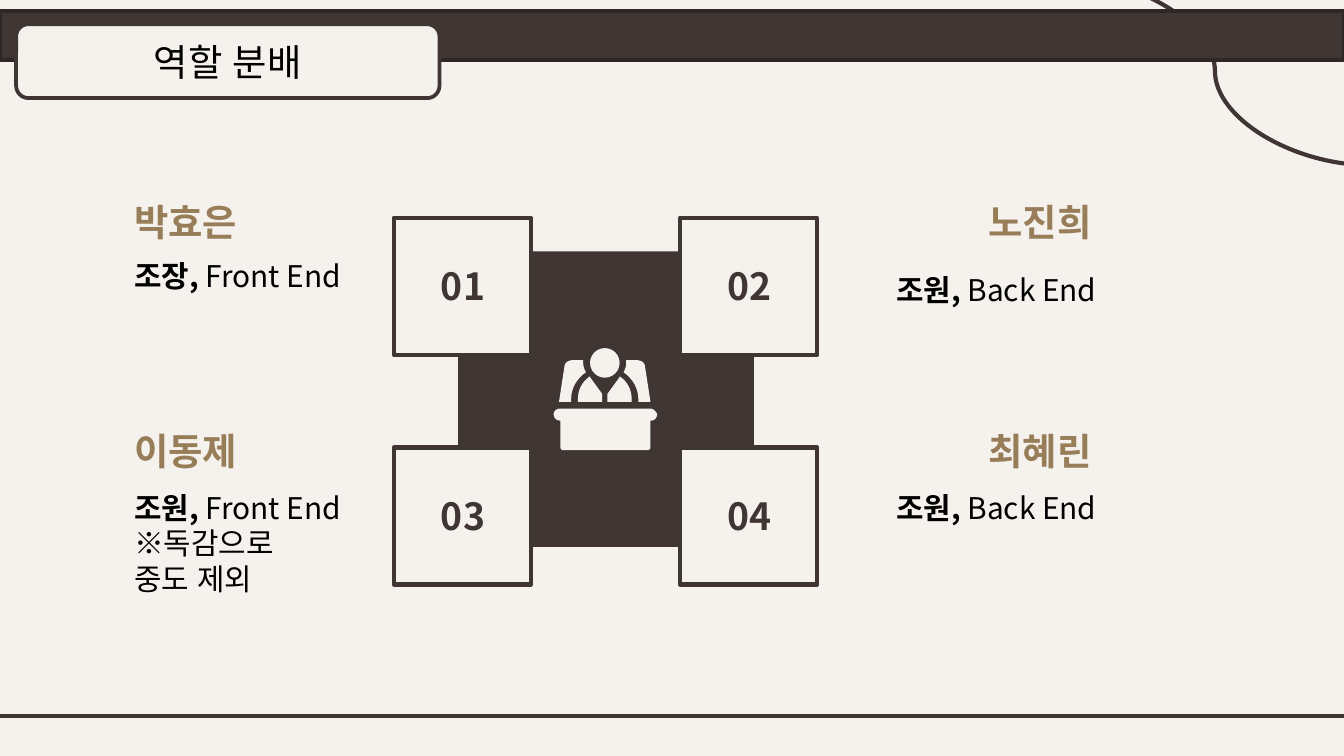
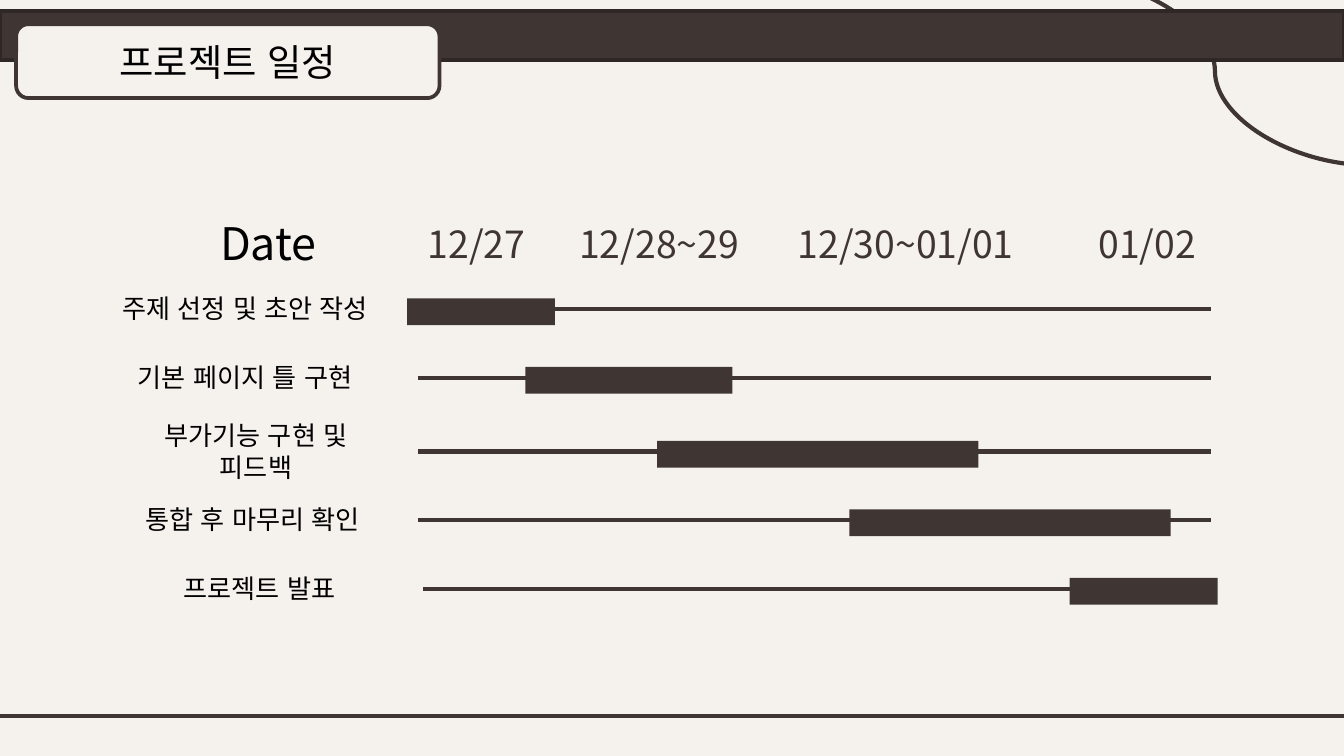
from lxml import etree
from pptx import Presentation
from pptx.dml.color import RGBColor
from pptx.enum.lang import MSO_LANGUAGE_ID
from pptx.enum.shapes import MSO_CONNECTOR, MSO_SHAPE
from pptx.enum.text import MSO_ANCHOR, MSO_AUTO_SIZE, PP_ALIGN
from pptx.oxml.ns import qn
from pptx.util import Inches, Pt

RECTANGLE, ROUNDED, OVAL = MSO_SHAPE.RECTANGLE, MSO_SHAPE.ROUNDED_RECTANGLE, MSO_SHAPE.OVAL
STRAIGHT, CURVE = MSO_CONNECTOR.STRAIGHT, MSO_CONNECTOR.CURVE
LEFT, CENTER, RIGHT = PP_ALIGN.LEFT, PP_ALIGN.CENTER, PP_ALIGN.RIGHT
TOP, MIDDLE = MSO_ANCHOR.TOP, MSO_ANCHOR.MIDDLE
NO_AUTOFIT = MSO_AUTO_SIZE.NONE
KOREAN = MSO_LANGUAGE_ID.KOREAN

FONT = "Noto Sans CJK KR"
CREAM, BROWN, BAND_EDGE, GOLD, BLACK = "F5F2EE", "3F3533", "2F2726", "987D59", "000000"
SLIDE_WIDTH = Inches(10)
SLIDE_HEIGHT = SLIDE_WIDTH * 9 // 16
TITLE_PLACE = (0.12, 0.18, 3.15, 0.55)

ROLES_TITLE = "역할 분배"
MEMBERS = [
    ("01", "박효은", "조장, ", "Front End", [], 1.82),
    ("02", "노진희", "조원, ", "Back End", [], 1.92),
    ("03", "이동제", "조원, ", "Front End", ["※독감으로", "중도 제외"], 3.54),
    ("04", "최혜린", "조원, ", "Back End", [], 3.54),
]
SIDES = [
    {"card": 2.93, "name": 0.9, "role": 0.9, "align": LEFT},
    {"card": 5.06, "name": 6.22, "role": 6.57, "align": RIGHT},
]
CARD_TOPS = [1.62, 3.33]
CARD_SIZE = 1.02

ICON_AXIS = 4.5
DESK = [
    (4.17, 3.04), (4.14, 3.04, 4.12, 3.06, 4.12, 3.08),
    (4.12, 3.11, 4.14, 3.13, 4.17, 3.13), (4.17, 3.33),
    (4.17, 3.34, 4.18, 3.35, 4.19, 3.35), (4.82, 3.35),
    (4.83, 3.35, 4.84, 3.34, 4.84, 3.33), (4.84, 3.13),
    (4.87, 3.13, 4.89, 3.11, 4.89, 3.08), (4.88, 3.06, 4.86, 3.04, 4.84, 3.04),
]
CHAIR_SIDE = [
    (4.66, 2.68), (4.66, 2.69, 4.66, 2.7, 4.66, 2.7),
    (4.66, 2.73, 4.65, 2.75, 4.64, 2.77), (4.71, 2.82, 4.75, 2.89, 4.75, 2.97),
    (4.75, 2.99), (4.84, 2.99), (4.8, 2.73), (4.8, 2.7, 4.77, 2.68, 4.74, 2.68),
]
JACKET_SIDE = [
    (4.61, 2.8), (4.61, 2.81, 4.6, 2.82, 4.6, 2.82), (4.52, 2.93),
    (4.52, 2.99), (4.7, 2.99), (4.7, 2.97), (4.7, 2.9, 4.67, 2.84, 4.61, 2.8),
]

SCHEDULE_TITLE = "프로젝트 일정"
DATES = [
    ("12/27", 3.05, 0.99),
    ("12/28~29", 4.04, 1.73),
    ("12/30~01/01", 5.77, 1.94),
    ("01/02", 8.04, 0.99),
]
TASKS = [
    ("주제 선정 및 초안 작성", 0.72, 2.21, 2.3, 3.11, 3.03, 1.1),
    ("기본 페이지 틀 구현", 0.72, 2.21, 2.81, 3.11, 3.91, 1.54),
    ("부가기능 구현 및 피드백", 0.86, 2.09, 3.36, 3.11, 4.89, 2.39),
    ("통합 후 마무리 확인", 0.84, 2.08, 3.87, 3.11, 6.32, 2.39),
    ("프로젝트 발표", 0.89, 2.08, 4.38, 3.15, 7.96, 1.1),
]
TRACK_LENGTH = 5.9
BAR_HEIGHT = 0.2


def color(value):
    return RGBColor.from_string(value)


def paint(shape, fill, line=None, width=2.25):
    shape.fill.solid()
    shape.fill.fore_color.rgb = color(fill)
    if line:
        shape.line.color.rgb = color(line)
        shape.line.width = Pt(width)
    else:
        shape.line.fill.background()
    shape.shadow.inherit = False


def add_box(page, kind, left, top, width, height, fill, line=None, line_width=2.25):
    box = page.shapes.add_shape(kind, *map(Inches, (left, top, width, height)))
    paint(box, fill, line, line_width)
    return box


def add_line(page, kind, *ends):
    line = page.shapes.add_connector(kind, *map(Inches, ends))
    line.line.color.rgb = color(BROWN)
    line.line.width = Pt(2.25)
    etree.SubElement(line.element.spPr, qn("a:effectLst"))


def write(shape, paragraphs, size, ink, align=LEFT, anchor=MIDDLE):
    frame = shape.text_frame
    frame.auto_size = NO_AUTOFIT
    frame.word_wrap = True
    frame.vertical_anchor = anchor
    for index, spans in enumerate(paragraphs):
        para = frame.add_paragraph() if index else frame.paragraphs[0]
        para.alignment = align
        for text, bold in spans:
            span = para.add_run()
            span.text = text
            span.font.size = Pt(size)
            span.font.bold = bold
            span.font.language_id = KOREAN
            span.font.color.rgb = color(ink)
            span.font.name = FONT
            etree.SubElement(span.font._element, qn("a:ea"), typeface=FONT)


def add_text(page, left, top, width, height, paragraphs, size, ink, align=LEFT, anchor=MIDDLE):
    box = page.shapes.add_textbox(*map(Inches, (left, top, width, height)))
    frame = box.text_frame
    frame.margin_left = frame.margin_right = Inches(0.1)
    frame.margin_top = frame.margin_bottom = Inches(0.1)
    write(box, paragraphs, size, ink, align, anchor)


def add_page(deck, heading):
    page = deck.slides.add_slide(deck.slide_layouts[5])
    for y in (0.3, 5.33):
        add_line(page, STRAIGHT, -0.08, y, 10.08, y)
    add_line(page, CURVE, 7.88, -0.17, 10.2, 1.23)
    add_box(page, RECTANGLE, 0, 0.08, 10, 0.37, BROWN, BAND_EDGE, 2)
    add_box(page, ROUNDED, *TITLE_PLACE, CREAM, BROWN, 2)
    title = page.shapes.title
    title.left, title.top, title.width, title.height = map(Inches, TITLE_PLACE)
    write(title, [[(heading, False)]], 20, BLACK, CENTER)
    title.element.getparent().append(title.element)
    return page


def flatten(segments, steps=8):
    points = [segments[0]]
    for segment in segments[1:]:
        if len(segment) == 2:
            points.append(segment)
            continue
        curve = [points[-1], segment[:2], segment[2:4], segment[4:]]
        for step in range(1, steps + 1):
            t = step / steps
            weights = ((1 - t) ** 3, 3 * t * (1 - t) ** 2, 3 * t * t * (1 - t), t ** 3)
            points.append(tuple(
                sum(weight * point[axis] for weight, point in zip(weights, curve))
                for axis in (0, 1)
            ))
    return points


def add_outline(page, points):
    corners = [(Inches(x), Inches(y)) for x, y in points]
    builder = page.shapes.build_freeform(*corners[0])
    builder.add_line_segments(corners[1:], close=True)
    paint(builder.convert_to_shape(), CREAM)


def add_presenter(page):
    add_box(page, OVAL, ICON_AXIS - 0.11, 2.59, 0.22, 0.22, CREAM)
    add_outline(page, flatten(DESK))
    for part in (CHAIR_SIDE, JACKET_SIDE):
        points = flatten(part)
        add_outline(page, points)
        add_outline(page, [(2 * ICON_AXIS - x, y) for x, y in points])


def build_roles(deck):
    page = add_page(deck, ROLES_TITLE)
    add_box(page, RECTANGLE, 3.41, 1.87, 2.2, 2.2, BROWN)
    add_presenter(page)
    for index, (number, name, role, team, notes, role_top) in enumerate(MEMBERS):
        side, top = SIDES[index % 2], CARD_TOPS[index // 2]
        add_box(page, RECTANGLE, side["card"], top, CARD_SIZE, CARD_SIZE, CREAM, BROWN)
        add_text(page, side["card"] - 0.04, top + 0.14, 1.11, 0.73, [[(number, True)]], 20, BROWN, CENTER)
        add_text(page, side["name"], top - 0.17, 2, 0.39, [[(name, True)]], 20, GOLD, side["align"])
        lines = [[(role, True), (team, False)]] + [[(note, False)] for note in notes]
        add_text(page, side["role"], role_top, 1.82, 0.78, lines, 16, BLACK, anchor=TOP)


def build_schedule(deck):
    page = add_page(deck, SCHEDULE_TITLE)
    add_text(page, 1.54, 1.66, 1.34, 0.29, [[("Date", False)]], 24, BLACK)
    for date, left, width in DATES:
        add_text(page, left, 1.67, width, 0.29, [[(date, False)]], 20, BROWN, CENTER)
    for task, left, width, y, track_left, bar_left, bar_width in TASKS:
        add_text(page, left, y - 0.2, width, 0.39, [[(task, False)]], 14, BLACK, CENTER)
        add_line(page, STRAIGHT, track_left, y, track_left + TRACK_LENGTH, y)
        add_box(page, RECTANGLE, bar_left, y - 0.08, bar_width, BAR_HEIGHT, BROWN)


def main():
    deck = Presentation()
    deck.slide_width, deck.slide_height = SLIDE_WIDTH, SLIDE_HEIGHT
    background = deck.slide_master.background.fill
    background.solid()
    background.fore_color.rgb = color(CREAM)
    build_roles(deck)
    build_schedule(deck)
    deck.save("out.pptx")


if __name__ == "__main__":
    main()
